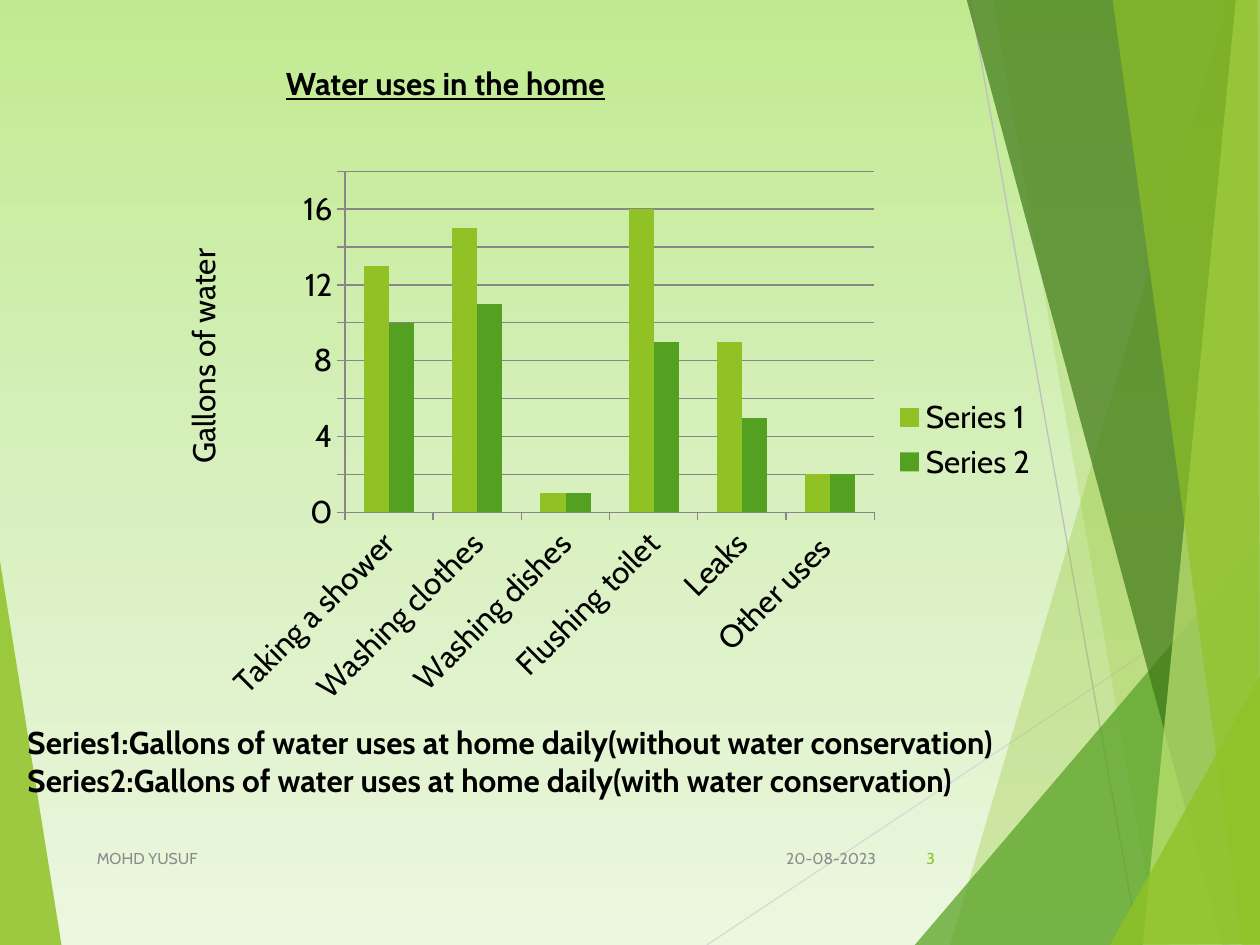
from copy import deepcopy

from lxml import etree
from pptx import Presentation
from pptx.chart.data import CategoryChartData
from pptx.dml.color import RGBColor
from pptx.enum.chart import XL_CHART_TYPE, XL_LEGEND_POSITION, XL_TICK_MARK
from pptx.enum.shapes import MSO_CONNECTOR
from pptx.enum.text import MSO_ANCHOR, PP_ALIGN
from pptx.oxml import parse_xml
from pptx.oxml.ns import nsdecls, qn
from pptx.util import Inches, Pt

FONT = "Cabin"
COLORS = {
    "sky_top": "C1EA90", "sky_middle": "D7F0BD", "sky_bottom": "EBF7DF",
    "lime": "90C226", "green": "54A021", "forest": "3F7819", "pale": "C0E474",
    "light_line": "D9D9D9", "mid_line": "BFBFBF", "axis": "878787",
    "black": "000000", "grey": "8C8C8C",
}


def color(name):
    return RGBColor.from_string(COLORS[name])


def add_text(left, top, width, height, lines, size=18, ink="black", bold=False,
             underline=False, align=PP_ALIGN.LEFT, anchor=MSO_ANCHOR.TOP):
    box = slide.shapes.add_textbox(Inches(left), Inches(top), Inches(width), Inches(height))
    frame = box.text_frame
    frame.word_wrap = True
    frame.vertical_anchor = anchor
    frame.text = "\n".join(lines)
    for paragraph in frame.paragraphs:
        paragraph.alignment = align
        font = paragraph.runs[0].font
        font.name, font.size, font.bold = FONT, Pt(size), bold
        font.underline = underline
        font.color.rgb = color(ink)
    return frame


prs = Presentation()
prs.slide_width, prs.slide_height = Inches(10), Inches(7.5)
slide = prs.slides.add_slide(prs.slide_layouts[6])

# Background gradient, top to bottom
sky = slide.background.fill
sky.gradient()
sky.gradient_angle = 270
stop_list = slide.element.find(".//" + qn("a:gsLst"))
stop_list.append(deepcopy(stop_list[0]))
for stop, position, name in zip(sky.gradient_stops, (0, 0.5, 1),
                                ("sky_top", "sky_middle", "sky_bottom")):
    stop.position = position
    stop.color.rgb = color(name)

# Translucent facets: fill, opacity in percent, corners
left_facet = ("lime", 85, [(-0.01, 4.39), (0.49, 7.51), (-0.01, 7.5)])
right_facets = [
    ("lime", 30, [(9.75, 0), (7.54, 7.5), (10.02, 7.51), (10.01, 0.01)]),
    ("lime", 20, [(7.88, -0.01), (9.19, 7.5), (10.01, 7.5), (10.01, -0.01)]),
    ("green", 72, [(7.26, 7.5), (10, 4.29), (10.01, 7.5)]),
    ("forest", 70, [(7.67, -0.01), (9.7, 7.5), (10.01, 7.49), (10.01, -0.01)]),
    ("pale", 70, [(9.81, -0.01), (9.07, 7.5), (10.01, 7.5), (10, -0.01)]),
    ("lime", 65, [(8.83, -0.01), (9.86, 7.5), (10, 7.5), (9.98, -0.01)]),
    ("lime", 80, [(8.81, 7.5), (10.01, 5.35), (10.01, 7.49)]),
]
for name, opacity, corners in [left_facet] + right_facets:
    points = [(Inches(x), Inches(y)) for x, y in corners]
    builder = slide.shapes.build_freeform(*points[0])
    builder.add_line_segments(points[1:], close=True)
    facet = builder.convert_to_shape()
    facet.shadow.inherit = False
    facet.line.fill.background()
    facet.fill.solid()
    facet.fill.fore_color.rgb = color(name)
    alpha = etree.SubElement(facet.element.spPr.find(".//" + qn("a:srgbClr")), qn("a:alpha"))
    alpha.set("val", str(opacity * 1000))

    # The thin lines lie between the left facet and the right ones
    if corners is left_facet[2]:
        for x1, y1, x2, y2, line_color in [(5.61, 7.5, 10.01, 4.57, "light_line"),
                                           (7.7, 0, 9.04, 7.5, "mid_line")]:
            ray = slide.shapes.add_connector(MSO_CONNECTOR.STRAIGHT, Inches(x1), Inches(y1),
                                             Inches(x2), Inches(y2))
            ray.line.color.rgb = color(line_color)
            ray.line.width = Pt(0.75)
            etree.SubElement(ray.element.spPr, qn("a:effectLst"))

# Water use chart
water_data = CategoryChartData()
water_data.categories = ["Taking a shower", "Washing clothes", "Washing dishes",
                         "Flushing toilet", "Leaks", "Other uses "]
water_data.add_series("Series 1", (13, 15, 1, 16, 9, 2))
water_data.add_series("Series 2", (10, 11, 1, 9, 5, 2))
chart = slide.shapes.add_chart(XL_CHART_TYPE.COLUMN_CLUSTERED, Inches(1.67), Inches(1.27),
                               Inches(6.67), Inches(4.44), water_data).chart
chart.has_title = False
chart.font.name, chart.font.size = FONT, Pt(18)
chart.font.color.rgb = color("black")
chart.has_legend = True
chart.legend.position = XL_LEGEND_POSITION.RIGHT
chart.legend.include_in_layout = False

plot = chart.plots[0]
plot.vary_by_categories = False
plot.gap_width = 150
plot.overlap = 0
for series, name in zip(plot.series, ("lime", "green")):
    series.format.fill.solid()
    series.format.fill.fore_color.rgb = color(name)

gallons_axis, uses_axis = chart.value_axis, chart.category_axis
gallons_axis.minimum_scale, gallons_axis.maximum_scale = 0, 18
gallons_axis.major_unit = 2
gallons_axis.has_major_gridlines = True
uses_axis.tick_labels.font.size = Pt(18)
uses_axis.format.line.color.rgb = color("axis")
uses_axis._element.find(".//" + qn("a:bodyPr")).set("rot", "-2700000")
for axis in (gallons_axis, uses_axis):
    axis.major_tick_mark = XL_TICK_MARK.OUTSIDE
    axis.minor_tick_mark = XL_TICK_MARK.NONE
for axis_line in (gallons_axis.format.line, gallons_axis.major_gridlines.format.line):
    axis_line.color.rgb = color("axis")

# Fixed inner plot area
plot_area = chart._chartSpace.chart.plotArea
for layout in plot_area.findall(qn("c:layout")):
    plot_area.remove(layout)
plot_area.insert(0, parse_xml(
    f'<c:layout {nsdecls("c")}><c:manualLayout><c:layoutTarget val="inner"/>'
    '<c:xMode val="edge"/><c:yMode val="edge"/><c:x val="0.16"/><c:y val="0.02"/>'
    '<c:w val="0.63"/><c:h val="0.61"/></c:manualLayout></c:layout>'))

# Heading, series key and axis caption
add_text(2.17, 0.46, 4.25, 0.4, ["Water uses in the home"], bold=True, underline=True)
add_text(0.12, 5.69, 9.76, 0.71, [
    "Series1:Gallons of water uses at home daily(without water conservation)",
    "Series2:Gallons of water uses at home daily(with water conservation)",
], bold=True)
axis_caption = add_text(1.41, 1.18, 0.5, 2.6, ["Gallons of water"])
axis_caption._txBody.bodyPr.set("vert", "vert270")

# Footer
for left, width, text, ink, align in [
    (0.67, 5.06, "MOHD YUSUF", "grey", PP_ALIGN.LEFT),
    (5.91, 1.14, "20-08-2023", "grey", PP_ALIGN.RIGHT),
    (6.96, 0.56, "3", "lime", PP_ALIGN.RIGHT),
]:
    add_text(left, 6.61, width, 0.4, [text], size=9, ink=ink, align=align,
             anchor=MSO_ANCHOR.MIDDLE)

prs.save("out.pptx")
